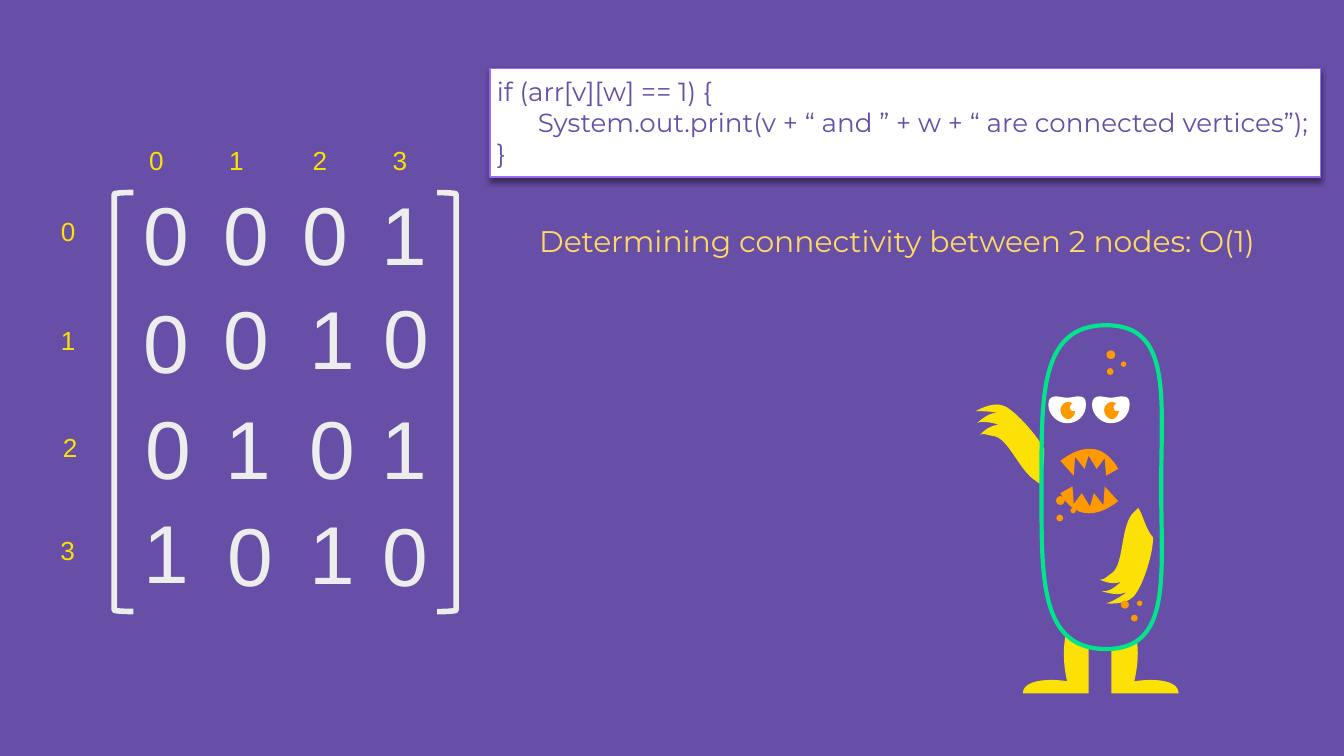
from lxml import etree
from pptx import Presentation
from pptx.dml.color import RGBColor
from pptx.enum.shapes import MSO_SHAPE
from pptx.enum.text import MSO_ANCHOR, PP_ALIGN
from pptx.oxml import parse_xml
from pptx.oxml.ns import nsdecls, qn
from pptx.util import Cm, Pt

LEFT = PP_ALIGN.LEFT
TOP = MSO_ANCHOR.TOP
OVAL = MSO_SHAPE.OVAL
RECTANGLE = MSO_SHAPE.RECTANGLE
BRACKET = MSO_SHAPE.LEFT_BRACKET

PURPLE = "674EA7"
WHITE = "FFFFFF"
PALE = "EDEDED"
YELLOW = "FBE106"
ORANGE = "FF9900"
GREEN = "00E58B"
color = RGBColor.from_string
UNIT = 0.0254  # cm per drawing unit of the monster


def write_text(shape, text, size=14, font="Arial", fill=YELLOW, margins=(0, 0)):
    frame = shape.text_frame
    frame.word_wrap = True
    frame.vertical_anchor = TOP
    frame.margin_left = frame.margin_right = Cm(margins[0])
    frame.margin_top = frame.margin_bottom = Cm(margins[1])
    frame.text = text
    for paragraph in frame.paragraphs:
        paragraph.alignment = LEFT
        for run in paragraph.runs:
            run.font.size = Pt(size)
            run.font.name = font
            run.font.color.rgb = color(fill)


def draw_outline(start, segments, fill=None, line=None, shift=0):
    """Segments of two numbers are straight, those of six are Bezier curves."""
    points = [start]
    for segment in segments:
        points.extend(zip(segment[::2], segment[1::2]))
    points = [(Cm((x + shift) * UNIT), Cm(y * UNIT)) for x, y in points]
    builder = slide.shapes.build_freeform(*points[0])
    builder.add_line_segments(points[1:], close=True)
    shape = builder.convert_to_shape()
    # Gather the three points of each curve into one Bezier element
    lines = iter(list(shape._element.iter(qn("a:lnTo"))))
    for segment in segments:
        first = next(lines)
        if len(segment) == 6:
            first.tag = qn("a:cubicBezTo")
            for _ in range(2):
                extra = next(lines)
                first.append(extra[0])
                extra.getparent().remove(extra)
    shape.shadow.inherit = False
    if fill:
        shape.fill.solid()
        shape.fill.fore_color.rgb = color(fill)
    else:
        shape.fill.background()
    if line:
        shape.line.color.rgb = color(line)
        shape.line.width = Pt(2.25)
    else:
        shape.line.fill.background()


presentation = Presentation()
presentation.slide_width = Cm(25.4)
presentation.slide_height = Cm(14.29)
slide = presentation.slides.add_slide(presentation.slide_layouts[5])
slide.background.fill.solid()
slide.background.fill.fore_color.rgb = color(PURPLE)

# Title: cost of the lookup
title = slide.shapes.title
title.left, title.top, title.width, title.height = Cm(9.94), Cm(4.07), Cm(14.27), Cm(0.94)
write_text(title, "Determining connectivity between 2 nodes: O(1)", size=16,
           font="Montserrat", fill="FFD966", margins=(0.25, 0.13))

# Matrix brackets
for left, rotation in ((2.16, 0), (8.26, 180)):
    bracket = slide.shapes.add_shape(BRACKET, Cm(left), Cm(3.64), Cm(0.36), Cm(7.92))
    bracket.adjustments[0] = 0.08
    bracket.rotation = rotation
    bracket.shadow.inherit = False
    bracket.fill.background()
    bracket.line.color.rgb = color(PALE)
    bracket.line.width = Pt(3)

# Matrix digits: each row with the lefts and tops of its cells
matrix = [
    ("0001", (2.47, 3.97, 5.47, 6.97), (3.34, 3.34, 3.34, 3.34)),
    ("0010", (2.47, 3.97, 5.6, 7), (5.37, 5.3, 5.3, 5.28)),
    ("0101", (2.5, 4.02, 5.6, 6.97), (7.39, 7.39, 7.39, 7.39)),
    ("1010", (2.47, 4.05, 5.6, 6.98), (9.34, 9.4, 9.37, 9.4)),
]
for digits, lefts, tops in matrix:
    for digit, left, top in zip(digits, lefts, tops):
        cell = slide.shapes.add_textbox(Cm(left), Cm(top), Cm(1.9), Cm(2.13))
        write_text(cell, digit, size=44, fill=PALE, margins=(0.25, 0.13))

# Column numbers on tab stops, row numbers one by one
header = slide.shapes.add_textbox(Cm(2.82), Cm(2.73), Cm(6.12), Cm(0.61))
write_text(header, "0\t1\t2\t3")
properties = header.text_frame.paragraphs[0]._p.get_or_add_pPr()
tab_list = etree.SubElement(properties, qn("a:tabLst"))
for position in (1.51, 3.09, 4.6):
    etree.SubElement(tab_list, qn("a:tab"), pos=str(Cm(position)), algn="l")
for number, (left, top) in enumerate(((1.15, 4.08), (1.15, 6.14), (1.19, 8.15), (1.14, 10.11))):
    label = slide.shapes.add_textbox(Cm(left), Cm(top), Cm(0.28), Cm(0.61))
    write_text(label, str(number))

# Code box with a soft shadow below
code_box = slide.shapes.add_shape(RECTANGLE, Cm(9.26), Cm(1.29), Cm(15.7), Cm(2.06))
code_box.shadow.inherit = False
code_box.fill.solid()
code_box.fill.fore_color.rgb = color(WHITE)
code_box.line.color.rgb = color("9B6BF2")
code_box.line.width = Pt(0.75)
code = """if (arr[v][w] == 1) {
      System.out.print(v + “ and ” + w + “ are connected vertices”);
}"""
write_text(code_box, code, font="Montserrat", fill=PURPLE, margins=(0.13, 0.13))
effects = code_box._element.spPr.find(qn("a:effectLst"))
effects.append(parse_xml(
    f'<a:outerShdw {nsdecls("a")} blurRad="{Pt(3)}" dist="{Pt(2)}" dir="5400000" '
    'algn="t" rotWithShape="0"><a:srgbClr val="000000"><a:alpha val="45000"/>'
    '</a:srgbClr></a:outerShdw>'))

# Monster arms
draw_outline((742, 301), [
    (734, 301, 726, 306, 726, 306), (727, 306, 728, 306, 729, 306),
    (735, 306, 743, 307, 743, 307), (742, 307, 742, 307, 742, 307),
    (735, 307, 727, 315, 727, 315), (728, 314, 730, 314, 732, 314),
    (737, 314, 743, 316, 743, 316), (734, 317, 729, 324, 729, 324),
    (729, 324, 729, 323, 732, 323), (733, 323, 736, 324, 741, 325),
    (751, 328, 759, 351, 771, 358), (772, 359, 773, 360, 775, 360),
    (776, 351, 777, 342, 777, 334), (770, 322, 757, 308, 749, 303),
    (747, 302, 744, 301, 742, 301)], fill=YELLOW)
draw_outline((839, 447), [
    (841, 446, 844, 444, 845, 442), (851, 434, 858, 412, 858, 400),
    (852, 393, 851, 384, 847, 378), (846, 379, 844, 381, 842, 383),
    (834, 394, 836, 419, 828, 426), (825, 428, 823, 430, 821, 431),
    (819, 432, 818, 431, 818, 431), (818, 431, 826, 436, 834, 433),
    (834, 433, 830, 437, 826, 439), (824, 440, 822, 440, 820, 440),
    (820, 440, 831, 444, 837, 441), (837, 441, 837, 441, 838, 441),
    (838, 441, 831, 446, 826, 448), (825, 448, 824, 449, 823, 449),
    (823, 449, 832, 450, 839, 447)], fill=YELLOW)

# Monster legs
draw_outline((793, 471), [
    (792, 478, 790, 490, 794, 507), (794, 507, 789, 506, 782, 506),
    (773, 506, 761, 508, 761, 516), (810, 516), (810, 483),
    (803, 481, 798, 475, 793, 471)], fill=YELLOW)
draw_outline((846, 477), [
    (840, 480, 834, 483, 827, 483), (827, 516), (877, 516),
    (877, 508, 866, 506, 856, 506), (850, 506, 844, 507, 844, 507),
    (847, 494, 847, 484, 846, 477)], fill=YELLOW)

# Monster body
draw_outline((864, 362), [
    (864, 429, 872, 483, 823, 483), (773, 483, 775, 429, 775, 362),
    (775, 296, 773, 242, 823, 242), (872, 242, 864, 295, 864, 362)], line=GREEN)

# Spots: centre and diameter
for x, y, diameter in ((837, 450, 6), (848, 449, 4), (844, 460, 5),
                       (789, 372.5, 6.5), (798.5, 380, 4), (788.5, 385.5, 5),
                       (826.5, 264, 6.5), (836, 271, 4), (826, 276.5, 5)):
    corner = [Cm((value - diameter / 2) * UNIT) for value in (x, y)]
    spot = slide.shapes.add_shape(OVAL, *corner, Cm(diameter * UNIT), Cm(diameter * UNIT))
    spot.shadow.inherit = False
    spot.fill.solid()
    spot.fill.fore_color.rgb = color(ORANGE)
    spot.line.fill.background()

# Mouth: the lower jaw is the upper one turned half round
upper_jaw = [(811, 334), (805, 334, 798, 336, 789, 343), (799, 354), (800, 340),
             (807, 349), (810, 339), (816, 349), (822, 341), (823, 354), (832, 349),
             (832, 349, 825, 334, 811, 334)]
lower_jaw = [tuple((1621, 716)[index % 2] - value for index, value in enumerate(segment))
             for segment in upper_jaw]
for jaw in (upper_jaw, lower_jaw):
    draw_outline(jaw[0], jaw[1:], fill=ORANGE)

# Eyes
for shift in (0, 32.5):
    draw_outline((786, 295), [
        (783, 295, 780, 296, 780, 301), (780, 309, 787, 315, 794, 315),
        (802, 315, 808, 309, 808, 301), (808, 296, 806, 295, 802, 295),
        (800, 295, 797, 296, 794, 296), (791, 296, 788, 295, 786, 295)],
        fill=WHITE, shift=shift)
    draw_outline((795, 299), [
        (792, 299, 789, 302, 789, 305), (789, 309, 792, 312, 795, 312),
        (797, 312, 800, 309, 800, 306), (799, 306, 799, 306, 798, 306),
        (797, 306, 796, 305, 796, 303), (796, 302, 797, 301, 798, 300),
        (797, 299, 796, 299, 795, 299)], fill=ORANGE, shift=shift)

presentation.save("out.pptx")
